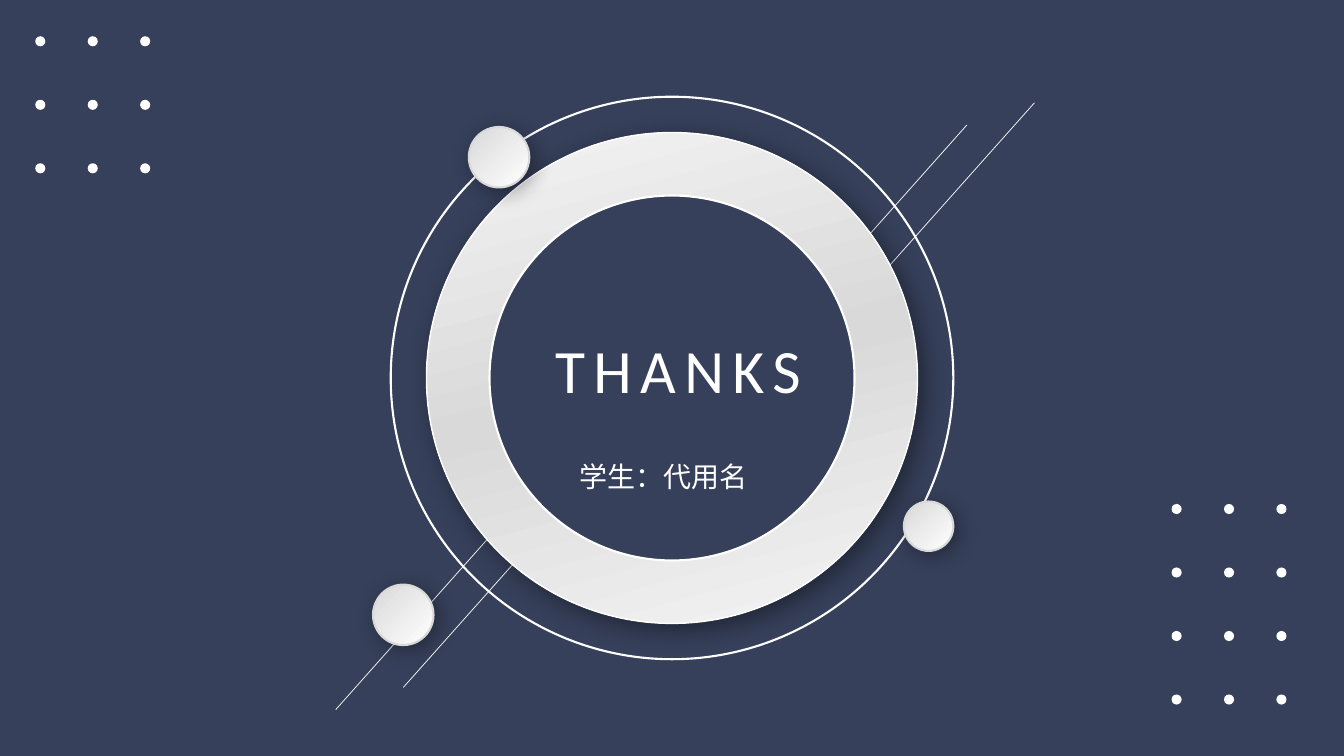
from itertools import product

from lxml.etree import SubElement
from pptx import Presentation
from pptx.dml.color import RGBColor
from pptx.enum.shapes import MSO_CONNECTOR, MSO_SHAPE
from pptx.enum.text import MSO_ANCHOR, MSO_AUTO_SIZE, PP_ALIGN
from pptx.oxml.ns import qn
from pptx.util import Inches, Pt

CLOSING = "THANKS"
STUDENT = "学生：代用名"
FONT = "Calibri"
COLORS = {"navy": "36405A", "white": "FFFFFF", "silver": "D9D9D9", "black": "000000"}

WIDTH, HEIGHT = 13.33, 7.5
CENTER = (WIDTH / 2, HEIGHT / 2)
RING, HOLE, ORBIT = 4.87, 3.62, 5.58
RING_STOPS = [(0, "white"), (50, "silver"), (100, "white")]
MOON_STOPS = [(0, "silver"), (100, "white")]
RING_SHADOW = {"alpha": 40, "blur": 17, "distance": 6}
MOON_SHADOW = {"alpha": 34, "blur": 15, "distance": 4}
MOONS = [((4.95, 1.56), 0.6), ((4, 6.1), 0.6), ((9.21, 5.22), 0.49)]

STREAK_PAIRS = [(9.59, 1.24), (5.11, 5.04)]
STREAK_GAP = (0.67, -0.22)
STREAK_RUN = (-1.78, 2)

DOT = 0.1
DOT_PITCH = (0.52, 0.63)
DOT_GRIDS = [
    {"first": (0.4, 0.41), "columns": 3, "rows": 3},
    {"first": (11.67, 5.05), "columns": 3, "rows": 4},
]


def rgb(color):
    return RGBColor.from_string(COLORS[color])


def add_panel(kind, left, top, width, height, fill=None, line=None, weight=1.5):
    panel = slide.shapes.add_shape(
        kind, Inches(left), Inches(top), Inches(width), Inches(height))
    panel.shadow.inherit = False
    if fill:
        panel.fill.solid()
        panel.fill.fore_color.rgb = rgb(fill)
    else:
        panel.fill.background()
    if line:
        panel.line.color.rgb = rgb(line)
        panel.line.width = Pt(weight)
    else:
        panel.line.fill.background()
    return panel


def add_circle(center, size, **style):
    left, top = (c - size / 2 for c in center)
    return add_panel(MSO_SHAPE.OVAL, left, top, size, size, **style)


def add_color(parent, color):
    return SubElement(parent, qn("a:srgbClr"), val=COLORS[color])


def emboss(circle, stops, shadow):
    circle.fill.gradient()
    circle.fill.gradient_angle = 315
    properties = circle._element.spPr
    stop_list = properties.find(qn("a:gradFill")).find(qn("a:gsLst"))
    for stop in list(stop_list):
        stop_list.remove(stop)
    for position, color in stops:
        add_color(SubElement(stop_list, qn("a:gs"), pos=str(position * 1000)), color)
    outer = SubElement(
        properties.find(qn("a:effectLst")), qn("a:outerShdw"),
        blurRad=str(Pt(shadow["blur"])), dist=str(Pt(shadow["distance"])),
        dir=str(45 * 60000), algn="tl", rotWithShape="0")
    SubElement(add_color(outer, "black"), qn("a:alpha"), val=str(shadow["alpha"] * 1000))


def add_streak(x, y):
    streak = slide.shapes.add_connector(
        MSO_CONNECTOR.STRAIGHT, Inches(x), Inches(y),
        Inches(x + STREAK_RUN[0]), Inches(y + STREAK_RUN[1]))
    streak.line.color.rgb = rgb("white")
    streak.line.width = Pt(0.5)
    SubElement(streak._element.spPr, qn("a:effectLst"))


def write(box, text, size, align, wrap):
    frame = box.text_frame
    frame.text = text
    frame.word_wrap = wrap
    frame.auto_size = MSO_AUTO_SIZE.SHAPE_TO_FIT_TEXT
    frame.vertical_anchor = MSO_ANCHOR.TOP
    line = frame.paragraphs[0]
    line.alignment = align
    line.line_spacing = 1.0
    line.space_before = Pt(0)
    line.font.name = FONT
    line.font.size = Pt(size)
    line.font.color.rgb = rgb("white")
    return line


deck = Presentation()
deck.slide_width, deck.slide_height = Inches(WIDTH), Inches(HEIGHT)
slide = deck.slides.add_slide(deck.slide_layouts[5])

add_panel(MSO_SHAPE.RECTANGLE, 0, 0, WIDTH, HEIGHT, fill="navy")

for (x, y), step in product(STREAK_PAIRS, range(2)):
    add_streak(x + step * STREAK_GAP[0], y + step * STREAK_GAP[1])

ring = add_circle(CENTER, RING, line="white", weight=1)
ring.rotation = 30
emboss(ring, RING_STOPS, RING_SHADOW)
add_circle(CENTER, HOLE, fill="navy", line="white")
add_circle(CENTER, ORBIT, line="white")

for grid in DOT_GRIDS:
    x, y = grid["first"]
    for column, row in product(range(grid["columns"]), range(grid["rows"])):
        add_circle((x + column * DOT_PITCH[0], y + row * DOT_PITCH[1]), DOT, fill="white")

closing = slide.shapes.title
slide.shapes._spTree.append(closing._element)
closing.left, closing.top = Inches(4.08), Inches(3.24)
closing.width, closing.height = Inches(5.29), Inches(0.84)
closing_line = write(closing, CLOSING, 44, PP_ALIGN.CENTER, True)
closing_line.runs[0].font._element.set("spc", "600")

for center, size in MOONS:
    emboss(add_circle(center, size, line="silver"), MOON_STOPS, MOON_SHADOW)

student = slide.shapes.add_textbox(Inches(5.65), Inches(4.51), Inches(1.88), Inches(0.44))
write(student, STUDENT, 20, PP_ALIGN.LEFT, False)

deck.save("out.pptx")
